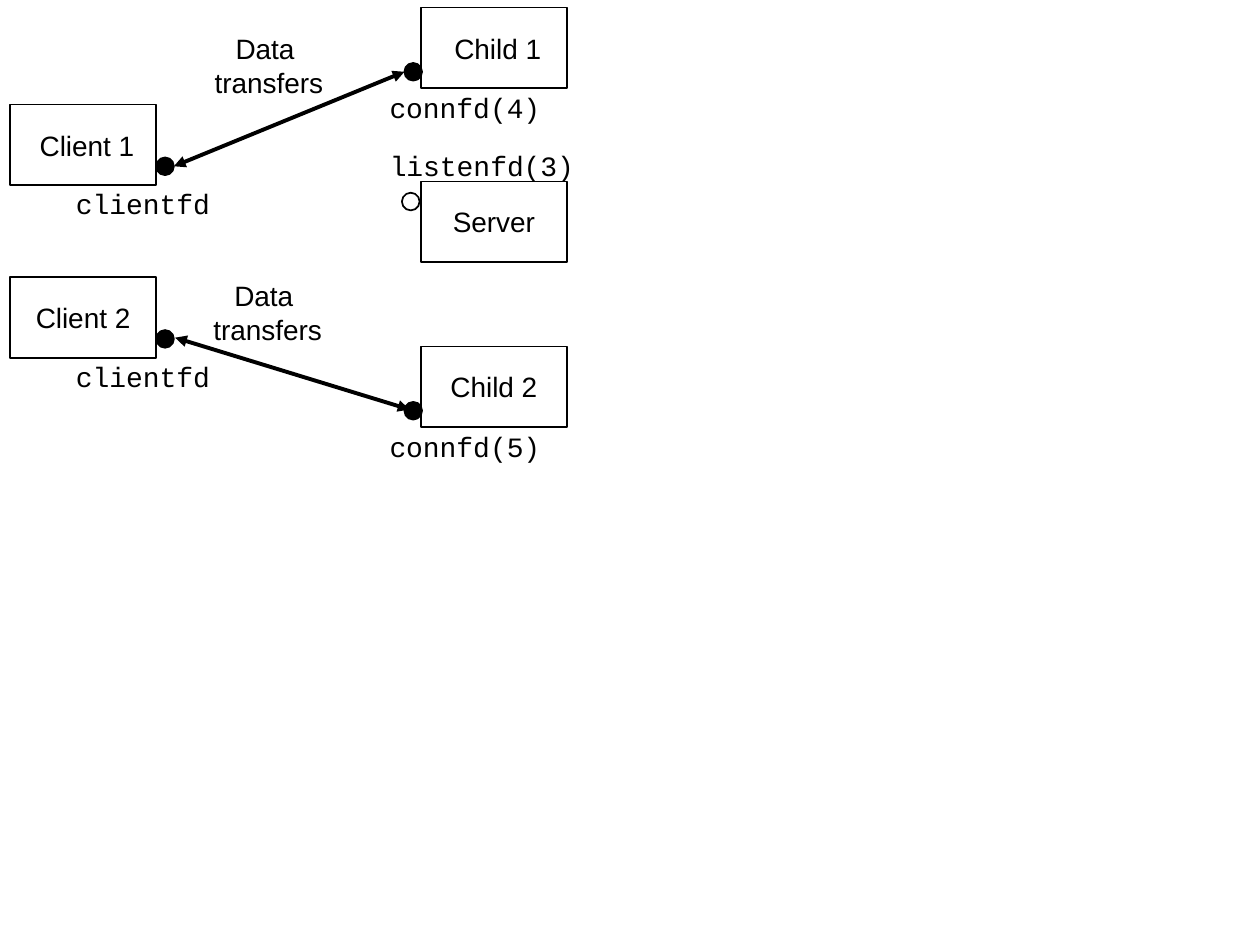
from lxml import etree
from pptx import Presentation, util as u
from pptx.dml.color import RGBColor
from pptx.enum import shapes, text
from pptx.oxml.ns import qn

# Content: (role, box text, socket label, top of box)
PROCESSES = [
    ("client", "Client 2", "clientfd", 2.2),
    ("client", " Client 1", "clientfd", 0.83),
    ("server", "Server", "listenfd(3)", 1.44),
    ("child", " Child 1", "connfd(4)", 0.06),
    ("child", "Child 2", "connfd(5)", 2.75),
]
# (client end, child end, top left of caption)
TRANSFERS = [
    ((1.38, 1.32), (3.21, 0.57), (1.6, 0.2)),
    ((1.39, 2.68), (3.25, 3.25), (1.59, 2.16)),
]
CAPTION = ["Data ", "transfers"]

# Layout: column of each role, then socket and label offsets from its box
BOX_W, BOX_H, DOT, LABEL_H = 1.16, 0.64, 0.14, 0.37
ROLES = {
    "client": dict(column=0.08, socket=(BOX_W, 0.42), label=(0.42, 0.6), label_w=1.27),
    "server": dict(column=3.34, socket=(-0.15, 0.09), label=(-0.35, -0.31), label_w=1.67),
    "child": dict(column=3.34, socket=(-0.13, 0.44), label=(-0.35, 0.61), label_w=1.4),
}
COLORS = {"ink": "000000", "paper": "FFFFFF"}
SANS, MONO = "Arial", "Courier New"


def color(name):
    return RGBColor.from_string(COLORS[name])


def inches(*lengths):
    return [u.Inches(length) for length in lengths]


def write(frame, lines, font):
    frame.word_wrap = False
    frame.vertical_anchor = text.MSO_ANCHOR.MIDDLE
    for i, line in enumerate(lines):
        paragraph = frame.add_paragraph() if i else frame.paragraphs[0]
        paragraph.alignment = text.PP_ALIGN.CENTER
        run = paragraph.add_run()
        run.text = line
        run.font.name, run.font.size = font, u.Pt(16)
        run.font.color.rgb = color("ink")


def add_outline(slide, kind, place, fill):
    outline = slide.shapes.add_shape(kind, *inches(*place))
    outline.shadow.inherit = False
    outline.fill.solid()
    outline.fill.fore_color.rgb = color(fill)
    outline.line.color.rgb = color("ink")
    outline.line.width = u.Pt(1)
    return outline


def add_label(slide, place, lines, font):
    frame = slide.shapes.add_textbox(*inches(*place)).text_frame
    write(frame, lines, font)
    frame.auto_size = text.MSO_AUTO_SIZE.SHAPE_TO_FIT_TEXT


def add_process(slide, role, name, descriptor, top):
    rule = ROLES[role]

    def offset(part):
        dx, dy = rule[part]
        return rule["column"] + dx, top + dy

    def add_socket():
        fill = "paper" if role == "server" else "ink"
        add_outline(slide, shapes.MSO_SHAPE.OVAL, (*offset("socket"), DOT, DOT), fill)

    # Only a child's socket lies over its box
    if role != "child":
        add_socket()
    box = add_outline(slide, shapes.MSO_SHAPE.RECTANGLE,
                      (rule["column"], top, BOX_W, BOX_H), "paper")
    write(box.text_frame, [name], SANS)
    if role == "child":
        add_socket()
    add_label(slide, (*offset("label"), rule["label_w"], LABEL_H), [descriptor], MONO)


def add_transfer(slide, start, end, caption_at):
    arrow = slide.shapes.add_connector(
        shapes.MSO_CONNECTOR.STRAIGHT, *inches(*start, *end))
    arrow.line.color.rgb = color("ink")
    arrow.line.width = u.Pt(2.25)
    line = arrow.line._get_or_add_ln()
    for tip in ("a:headEnd", "a:tailEnd"):
        etree.SubElement(line, qn(tip), type="triangle")
    etree.SubElement(arrow._element.spPr, qn("a:effectLst"))
    add_label(slide, (*caption_at, 1.07, 0.64), CAPTION, SANS)


def main():
    deck = Presentation()
    deck.slide_width, deck.slide_height = inches(10, 7.5)
    slide = deck.slides.add_slide(deck.slide_layouts[6])
    for process in PROCESSES:
        add_process(slide, *process)
    for transfer in TRANSFERS:
        add_transfer(slide, *transfer)
    deck.save("out.pptx")


if __name__ == "__main__":
    main()
